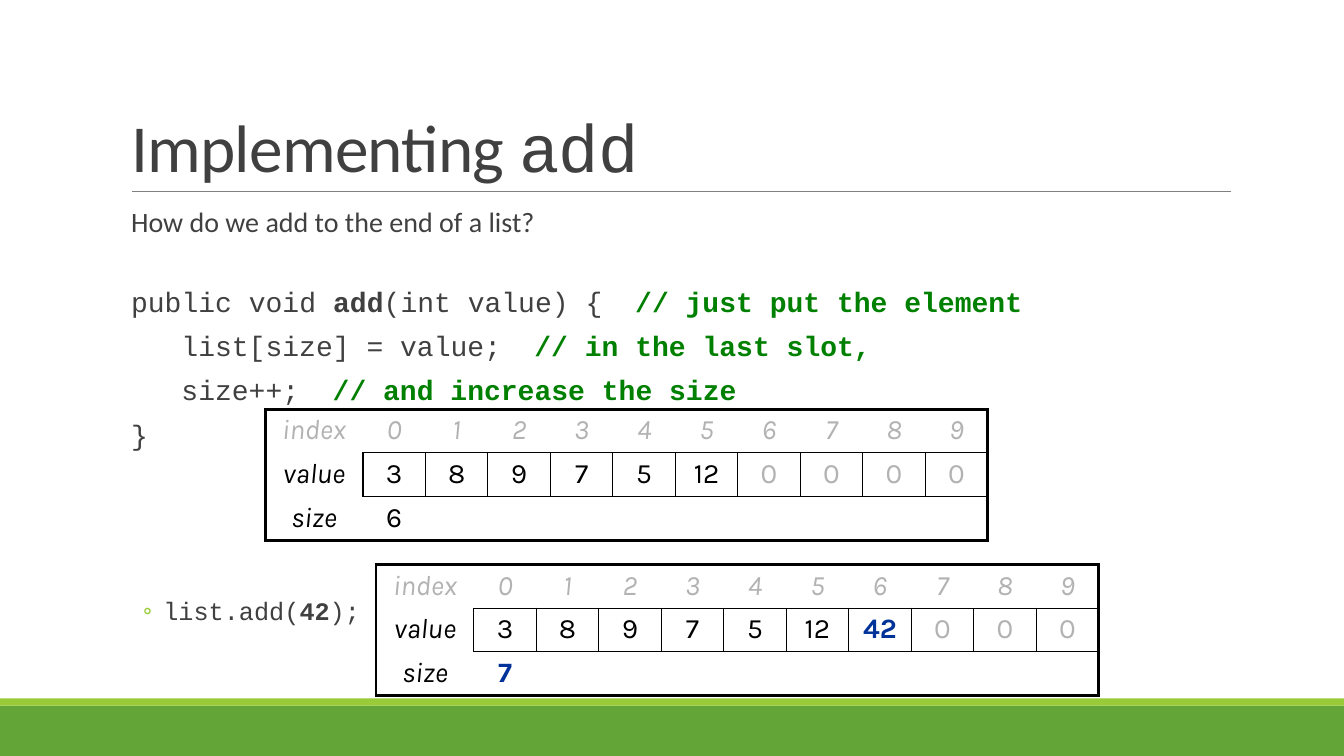
from lxml import etree
from pptx import Presentation
from pptx.dml.color import RGBColor
from pptx.enum import shapes, text
from pptx.oxml import ns
from pptx.util import Inches, Pt

DARK = RGBColor(0x40, 0x40, 0x40)
GREEN = RGBColor(0x63, 0xA5, 0x37)
LIME = RGBColor(0x99, 0xCB, 0x38)
GRAY = RGBColor(0x80, 0x80, 0x80)
PALE = RGBColor(0xB2, 0xB2, 0xB2)
BLACK = RGBColor(0, 0, 0)
BLUE = RGBColor(0, 0x33, 0x99)
NOTE = RGBColor(0, 0x80, 0)

SANS, MONO, HAND = "Calibri", "Courier New", "Karla"
THICK, THIN = Pt(2.25), Pt(1)


def sub(node, tag, **attrs):
    return etree.SubElement(node, ns.qn(tag), {k: str(v) for k, v in attrs.items()})


def style(font, name, size, color):
    font.name, font.size = name, Pt(size)
    font.color.rgb = color


def add_bar(slide, top, height, color):
    bar = slide.shapes.add_shape(shapes.MSO_SHAPE.RECTANGLE, 0, Inches(top),
                                 Inches(13.33), Inches(height))
    bar.shadow.inherit = False
    bar.fill.solid()
    bar.fill.fore_color.rgb = color
    bar.line.fill.background()


def add_rule(slide):
    rule = slide.shapes.add_connector(shapes.MSO_CONNECTOR.STRAIGHT, Inches(1.31),
                                      Inches(1.9), Inches(12.21), Inches(1.9))
    rule.line.color.rgb = GRAY
    rule.line.width = Pt(0.5)
    sub(rule._element.spPr, "a:effectLst")


def place(shape, left, top, width, height):
    shape.left, shape.top = Inches(left), Inches(top)
    shape.width, shape.height = Inches(width), Inches(height)
    shape.text_frame.auto_size = text.MSO_AUTO_SIZE.NONE


def fill_title(title):
    place(title, 1.2, 0.31, 11, 1.59)
    title.text_frame.vertical_anchor = text.MSO_ANCHOR.BOTTOM
    par = title.text_frame.paragraphs[0]
    par.alignment = text.PP_ALIGN.LEFT
    par.line_spacing = 0.85
    for words, name in (("Implementing ", SANS), ("add", MONO)):
        run = par.add_run()
        run.text = words
        style(run.font, name, 48, DARK)
        run.font._element.set("spc", "-50")


def add_par(frame, runs, name, size, line, before, after, bullet=False):
    """Write one paragraph; runs are (words, bold, colour)."""
    par = frame.paragraphs[0]
    if par.runs:
        par = frame.add_paragraph()
    par.line_spacing = line
    par.space_before, par.space_after = Pt(before), Pt(after)
    props = par._p.get_or_add_pPr()
    if bullet:
        par.level = 1
        props.set("marL", str(Inches(0.32)))
        props.set("indent", str(-Inches(0.2)))
        sub(sub(props, "a:buClr"), "a:srgbClr", val=LIME)
        sub(props, "a:buFont", typeface=SANS)
        sub(props, "a:buChar", char="◦")
    else:
        props.set("marL", "0")
        props.set("indent", "0")
        sub(props, "a:buNone")
        tabs = sub(props, "a:tabLst")
        for stop in (0.67, 5.01):
            sub(tabs, "a:tab", pos=Inches(stop), algn="l")
    style(par.font, name, size, DARK)
    for words, bold, color in runs:
        run = par.add_run()
        run.text = words
        if bold:
            run.font.bold = True
        if color != DARK:
            run.font.color.rgb = color


def fill_body(body):
    place(body, 1.2, 2.02, 11, 4.4)
    frame = body.text_frame
    frame.margin_left, frame.margin_right = Inches(0.1), 0
    add_par(frame, [("How do we add to the end of a list?", False, DARK)],
            SANS, 20, 0.9, 12, 2)
    # Code with comments
    code = [
        [("public void ", False, DARK), ("add", True, DARK),
         ("(int value) {\t", False, DARK), ("// just put the element", True, NOTE)],
        [("\tlist[size] = value;\t", False, DARK), ("// in the last slot,", True, NOTE)],
        [("\tsize++;\t", False, DARK), ("// and increase the size", True, NOTE)],
        [("}", False, DARK)],
    ]
    for i, runs in enumerate(code):
        add_par(frame, runs, MONO, 20, 0.7, 12.8 if i else 37, 2)
    # Example call
    call = [("list.add(", False, DARK), ("42", True, DARK), (");", False, DARK)]
    add_par(frame, call, MONO, 18, 0.9, 104, 4, bullet=True)


def set_edges(cell, row, col, last):
    boxed, side = THIN if row == 1 else 0, THIN if col else 0
    edges = {
        "L": boxed if col else THICK,
        "R": THICK if col == last else boxed,
        "T": side if row else THICK,
        "B": THICK if row == 2 else side,
    }
    props = cell._tc.get_or_add_tcPr()
    for edge, width in edges.items():
        line = sub(props, f"a:ln{edge}", w=width)
        if width:
            sub(sub(line, "a:solidFill"), "a:srgbClr", val=BLACK)
        else:
            sub(line, "a:noFill")


def add_array(slide, left, top, values, size, fresh=()):
    """Draw a list's state; fresh holds the (row, column) cells just changed."""
    rows = [["index", *range(10)], ["value", *values], ["size", size]]
    frame = slide.shapes.add_table(3, 11, Inches(left), Inches(top),
                                   Inches(7.17), Inches(1.3))
    table = frame.table
    table.first_row = table.horz_banding = False
    for col, column in enumerate(table.columns):
        column.width = Inches(0.62 if col else 0.97)
    for r, row in enumerate(table.rows):
        row.height = Inches(1.3) // 3
        for c, cell in enumerate(row.cells):
            set_edges(cell, r, c, 10)
            cell.fill.background()
            if c >= len(rows[r]):
                continue
            cell.text = str(rows[r][c])
            par = cell.text_frame.paragraphs[0]
            par.alignment = text.PP_ALIGN.CENTER
            new = (r, c) in fresh
            spare = r == 0 or (r == 1 and c > size)
            style(par.font, HAND, 20, BLUE if new else PALE if spare else BLACK)
            par.font.bold = new
            par.font.italic = r == 0 or c == 0


def main():
    deck = Presentation()
    deck.slide_width, deck.slide_height = Inches(13.33), Inches(7.5)
    slide = deck.slides.add_slide(deck.slide_layouts[1])
    # Footer bars and title rule
    add_bar(slide, 7, 0.5, GREEN)
    add_bar(slide, 6.93, 0.07, LIME)
    add_rule(slide)
    # Title and text
    fill_title(slide.shapes.title)
    fill_body(slide.placeholders[1])
    # List before and after the call
    items = [3, 8, 9, 7, 5, 12]
    add_array(slide, 2.63, 4.06, items + [0] * 4, 6)
    add_array(slide, 3.73, 5.6, items + [42] + [0] * 3, 7, {(1, 7), (2, 1)})
    deck.save("out.pptx")


if __name__ == "__main__":
    main()
